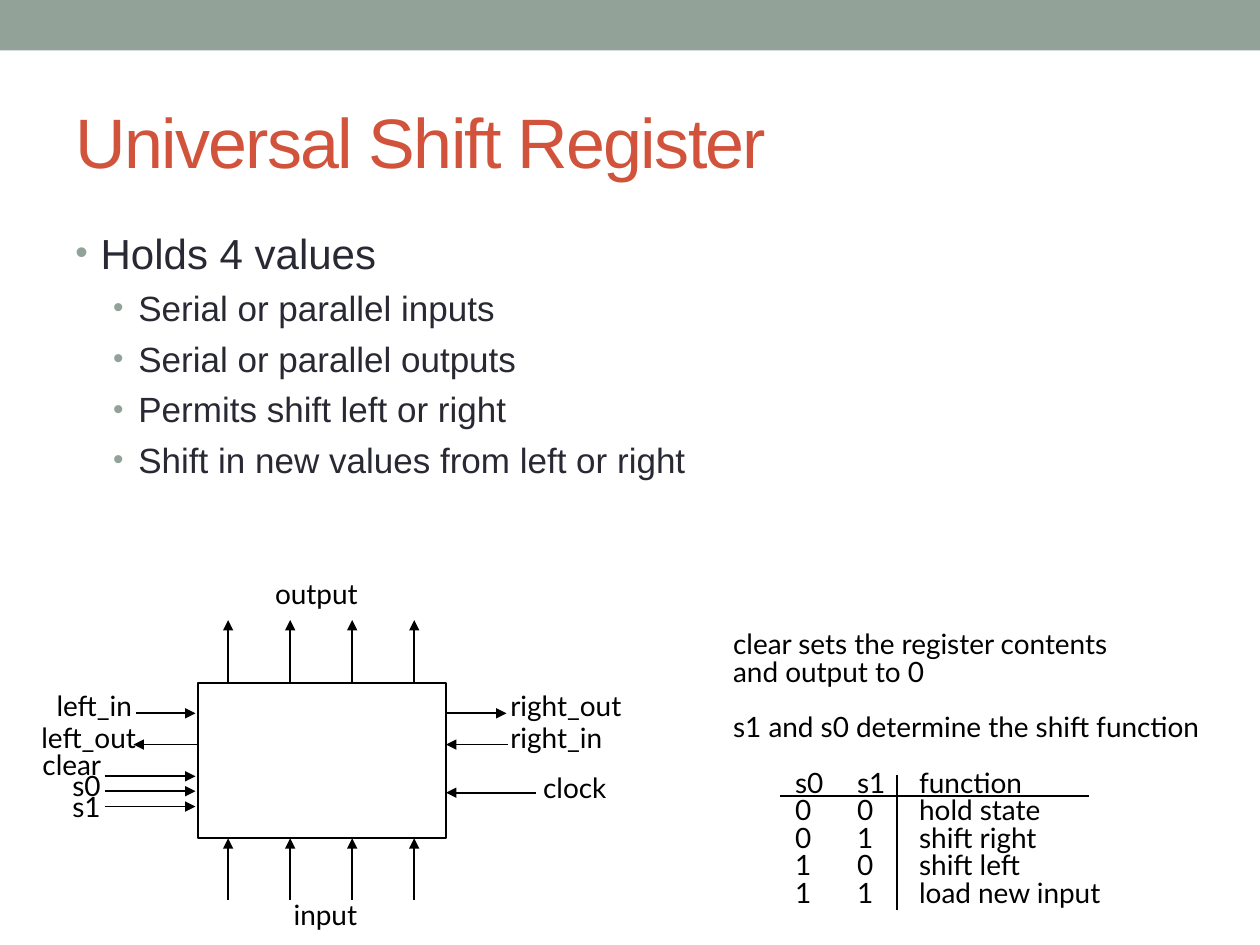
import pptx
import pptx.dml.color
import pptx.enum.shapes
import pptx.enum.text
import pptx.oxml.ns
import pptx.util
from dataclasses import dataclass
from lxml import etree

Cm = pptx.util.Cm
Pt = pptx.util.Pt
ALIGN = pptx.enum.text.PP_ALIGN
ANCHOR = pptx.enum.text.MSO_ANCHOR


@dataclass(frozen=True)
class Theme:
    accent: str = "93A299"
    title: str = "D2533C"
    body: str = "292934"
    ink: str = "000000"
    paper: str = "FFFFFF"
    heading_font: str = "Arial"
    label_font: str = "Lato"
    title_size: int = 40
    body_size: int = 24
    detail_size: int = 20
    label_size: int = 16
    line_width: int = 1


def color(value):
    return pptx.dml.color.RGBColor.from_string(value)


def add_xml(parent, tag, **attributes):
    element = etree.SubElement(parent, pptx.oxml.ns.qn(tag))
    for name, value in attributes.items():
        element.set(name, str(value))
    return element


def write_text(frame, text, font, size, ink, first=False, align=ALIGN.LEFT,
               leading=None, before=0, tracking=None, indent=None, hanging=0,
               bullet_color=None, tabs=()):
    paragraph = frame.paragraphs[0] if first else frame.add_paragraph()
    paragraph.alignment = align
    paragraph.space_before = Pt(before)
    if leading:
        paragraph.line_spacing = Pt(leading)
    run = paragraph.add_run()
    run.text = text
    run.font.name = font
    run.font.size = Pt(size)
    run.font.color.rgb = color(ink)
    if tracking:
        run._r.get_or_add_rPr().set("spc", str(tracking))
    properties = paragraph._p.get_or_add_pPr()
    if indent:
        properties.set("marL", str(Cm(indent)))
        properties.set("indent", str(Cm(-hanging)))
    if bullet_color:
        add_xml(add_xml(properties, "a:buClr"), "a:srgbClr", val=bullet_color)
        add_xml(properties, "a:buSzPct", val=85000)
        add_xml(properties, "a:buFont", typeface=font)
        add_xml(properties, "a:buChar", char="•")
    if tabs:
        tab_list = add_xml(properties, "a:tabLst")
        for position in tabs:
            add_xml(tab_list, "a:tab", pos=Cm(position), algn="l")
    return paragraph


class SlideBuilder:
    def __init__(self, slide, theme):
        self.slide = slide
        self.theme = theme

    def rectangle(self, left, top, width, height, fill, outline=None):
        shape = self.slide.shapes.add_shape(
            pptx.enum.shapes.MSO_SHAPE.RECTANGLE,
            Cm(left), Cm(top), Cm(width), Cm(height))
        shape.shadow.inherit = False
        shape.fill.solid()
        shape.fill.fore_color.rgb = color(fill)
        if outline:
            shape.line.color.rgb = color(outline)
            shape.line.width = Pt(self.theme.line_width)
        else:
            shape.line.fill.background()

    def line(self, x1, y1, x2, y2, arrow=False):
        connector = self.slide.shapes.add_connector(
            pptx.enum.shapes.MSO_CONNECTOR.STRAIGHT,
            Cm(x1), Cm(y1), Cm(x2), Cm(y2))
        connector.line.color.rgb = color(self.theme.ink)
        connector.line.width = Pt(self.theme.line_width)
        properties = connector._element.spPr
        if arrow:
            add_xml(properties.get_or_add_ln(), "a:tailEnd", type="triangle")
        add_xml(properties, "a:effectLst")

    def text_frame(self, left, top, width, height, insets=(0.25, 0.13),
                   anchor=ANCHOR.TOP):
        frame = self.slide.shapes.add_textbox(
            Cm(left), Cm(top), Cm(width), Cm(height)).text_frame
        frame.word_wrap = True
        frame.vertical_anchor = anchor
        frame.margin_left = frame.margin_right = Cm(insets[0])
        frame.margin_top = frame.margin_bottom = Cm(insets[1])
        return frame

    def title(self, text):
        theme = self.theme
        frame = self.text_frame(1.27, 1.47, 22.86, 2.74, anchor=ANCHOR.MIDDLE)
        write_text(frame, text, theme.heading_font, theme.title_size,
                   theme.title, first=True, tracking=-100)

    def bullets(self, heading, details):
        theme = self.theme
        frame = self.text_frame(1.27, 4.45, 22.86, 13.54)
        style = dict(font=theme.heading_font, ink=theme.body, before=5,
                     hanging=0.51, bullet_color=theme.accent)
        write_text(frame, heading, size=theme.body_size, first=True,
                   indent=0.51, **style)
        for detail in details:
            paragraph = write_text(frame, detail, size=theme.detail_size,
                                   indent=1.27, **style)
            paragraph.level = 1

    def label(self, text, left, top, width, align):
        theme = self.theme
        frame = self.text_frame(left, top, width, 0.84, insets=(0.05, 0.08))
        write_text(frame, text, theme.label_font, theme.label_size, theme.ink,
                   first=True, align=align, leading=13.8)

    def explanation(self, groups):
        theme = self.theme
        leading = 15.8
        frame = self.text_frame(14.73, 12.07, 10.67, 4.78, insets=(0.05, 0.69))
        for group_index, group in enumerate(groups):
            for line_index, text in enumerate(group):
                starts_group = group_index > 0 and line_index == 0
                write_text(frame, text, theme.label_font, theme.label_size,
                           theme.ink, first=group_index + line_index == 0,
                           leading=leading, before=leading if starts_group else 0,
                           tabs=(1.25, 2.5, 3.75) if "\t" in text else ())


def draw_register(builder):
    left, top, width, height = 3.99, 13.77, 5, 3.13
    right, bottom = left + width, top + height
    builder.rectangle(left, top, width, height,
                      builder.theme.paper, builder.theme.ink)
    for bit in range(4):
        pin = 4.6 + 1.25 * bit
        builder.line(pin, top, pin, 12.5, arrow=True)
        builder.line(pin, 18.14, pin, bottom, arrow=True)

    side_arrows = [
        (2.74, 3.94, 14.38), (left, 2.69, 15.01),
        (2.11, 3.94, 15.65), (2.11, 3.94, 15.95), (2.11, 3.94, 16.26),
        (right, 10.21, 14.38), (10.24, right, 15.01), (10.8, right, 15.98),
    ]
    for start, end, y in side_arrows:
        builder.line(start, y, end, y, arrow=True)

    labels = [
        ("left_in", 0.25, 14, 2.46, ALIGN.RIGHT),
        ("left_out", 0, 14.63, 2.79, ALIGN.RIGHT),
        ("clear", 0.18, 15.19, 1.91, ALIGN.RIGHT),
        ("s0", 0.38, 15.6, 1.7, ALIGN.RIGHT),
        ("s1", 0.38, 16.03, 1.7, ALIGN.RIGHT),
        ("right_out", 10.24, 14, 3.07, ALIGN.LEFT),
        ("right_in", 10.24, 14.63, 2.79, ALIGN.LEFT),
        ("clock", 10.9, 15.65, 1.91, ALIGN.LEFT),
        ("output", 5.11, 11.73, 2.54, ALIGN.CENTER),
        ("input", 5.44, 18.21, 2.24, ALIGN.CENTER),
    ]
    for label in labels:
        builder.label(*label)


def main():
    presentation = pptx.Presentation()
    presentation.slide_width = Cm(25.4)
    presentation.slide_height = Cm(19.05)
    slide = presentation.slides.add_slide(presentation.slide_layouts[6])
    builder = SlideBuilder(slide, Theme())

    builder.rectangle(0, 0, 25.4, 1.02, builder.theme.accent)
    builder.explanation([
        ["clear sets the register contents", "and output to 0"],
        ["s1 and s0 determine the shift function"],
        ["\ts0\ts1\tfunction", "\t0\t0\thold state", "\t0\t1\tshift right",
         "\t1\t0\tshift left", "\t1\t1\tload new input"],
    ])
    builder.line(15.72, 16.05, 21.95, 16.05)
    builder.line(18.08, 15.62, 18.08, 18.34)
    draw_register(builder)
    builder.title("Universal Shift Register")
    builder.bullets("Holds 4 values", [
        "Serial or parallel inputs", "Serial or parallel outputs",
        "Permits shift left or right", "Shift in new values from left or right",
    ])
    presentation.save("out.pptx")


if __name__ == "__main__":
    main()
